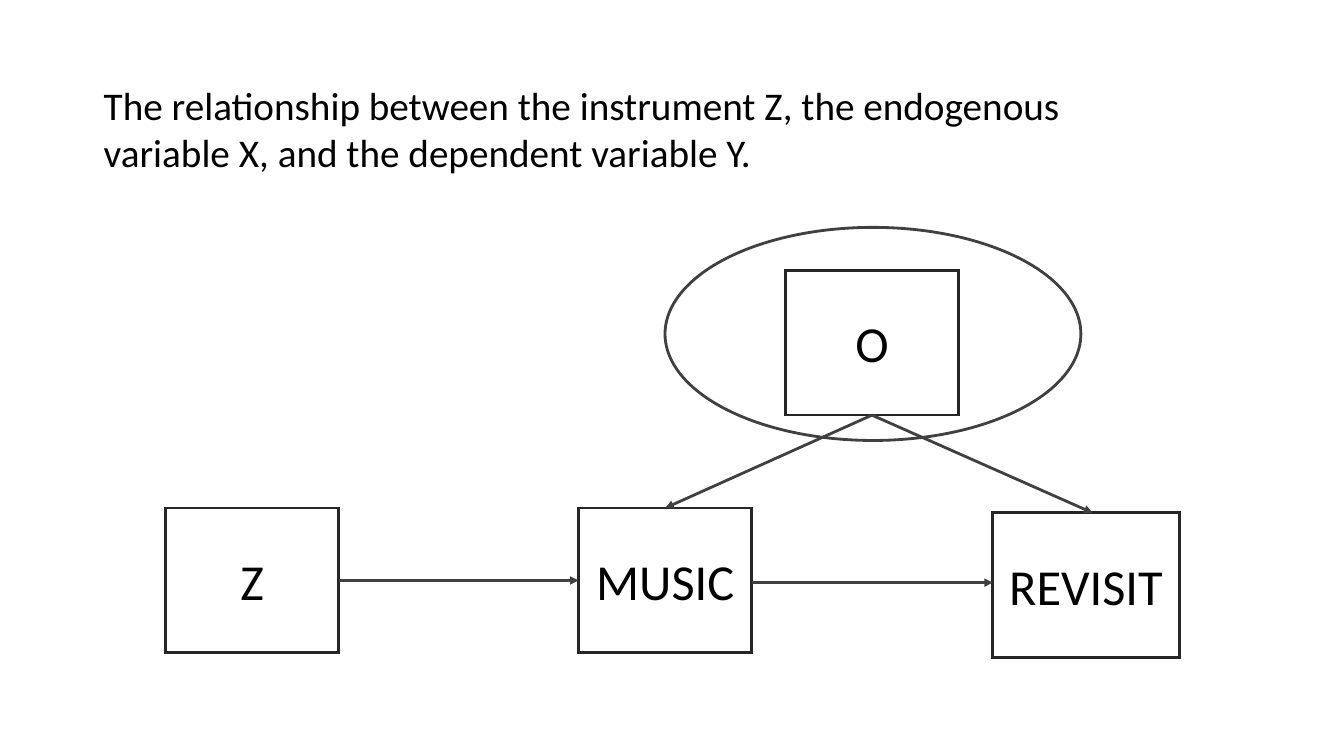
from dataclasses import dataclass

from lxml import etree
from pptx import Presentation
from pptx.dml.color import RGBColor
from pptx.enum.shapes import MSO_CONNECTOR, MSO_SHAPE
from pptx.enum.text import MSO_ANCHOR, MSO_AUTO_SIZE, PP_ALIGN
from pptx.oxml.ns import qn
from pptx.shapes.autoshape import Shape
from pptx.shapes.connector import Connector
from pptx.slide import Slide
from pptx.text.text import TextFrame
from pptx.util import Cm, Pt

RECT = MSO_SHAPE.RECTANGLE
OVAL = MSO_SHAPE.OVAL
STRAIGHT = MSO_CONNECTOR.STRAIGHT
TOP, MIDDLE = MSO_ANCHOR.TOP, MSO_ANCHOR.MIDDLE
LEFT, CENTER = PP_ALIGN.LEFT, PP_ALIGN.CENTER
FIXED = MSO_AUTO_SIZE.NONE
UPPER, NEAR, LOWER, FAR = range(4)


@dataclass(frozen=True)
class Theme:
    font: str = "Calibri"
    ink: RGBColor = RGBColor(0, 0, 0)
    frame: RGBColor = RGBColor(0x26, 0x26, 0x26)
    link: RGBColor = RGBColor(0x40, 0x40, 0x40)
    title: Pt = Pt(28)
    label: Pt = Pt(36)
    stroke: Pt = Pt(2)


@dataclass(frozen=True)
class Node:
    text: str
    left: float
    top: float
    width: float = 4.37
    height: float = 3.65


@dataclass(frozen=True)
class Link:
    start: str
    out: int
    end: str
    into: int


THEME = Theme()
HEADING = (
    "The relationship between the instrument Z, the endogenous "
    "variable X, and the dependent variable Y."
)
NODES = (
    Node("Z", 4.17, 12.8),
    Node("MUSIC", 14.58, 12.8),
    Node("REVISIT", 25.02, 12.92, 4.7),
    Node("O", 19.79, 6.81),
)
LINKS = (
    Link("Z", FAR, "MUSIC", NEAR),
    Link("O", LOWER, "MUSIC", UPPER),
)
RING = Node("", 16.76, 5.73, 10.48, 5.37)
LEVEL = 14.68
TARGET = 27.53


def write(frame: TextFrame, text: str, size: Pt, align: PP_ALIGN) -> None:
    frame.word_wrap = True
    para = frame.paragraphs[0]
    para.text = text
    para.alignment = align
    para.font.name = THEME.font
    para.font.size = size
    para.font.color.rgb = THEME.ink


def add_title(slide: Slide) -> None:
    title = slide.shapes.title
    title.left, title.top = Cm(2.36), Cm(1.93)
    title.width, title.height = Cm(28.83), Cm(5.05)
    frame = title.text_frame
    frame.auto_size = FIXED
    frame.vertical_anchor = TOP
    frame.margin_right = Cm(1.6)
    write(frame, HEADING, THEME.title, LEFT)


def add_node(slide: Slide, node: Node, kind: MSO_SHAPE, color: RGBColor) -> Shape:
    shape = slide.shapes.add_shape(
        kind, Cm(node.left), Cm(node.top), Cm(node.width), Cm(node.height)
    )
    shape.shadow.inherit = False
    shape.fill.background()
    shape.line.color.rgb = color
    shape.line.width = THEME.stroke
    etree.SubElement(shape.line._get_or_add_ln(), qn("a:miter"), lim="800000")
    if node.text:
        shape.text_frame.vertical_anchor = MIDDLE
        write(shape.text_frame, node.text, THEME.label, CENTER)
    return shape


def add_arrow(
    slide: Slide, left: int = 0, top: int = 0, right: int = 0, bottom: int = 0
) -> Connector:
    arrow = slide.shapes.add_connector(STRAIGHT, left, top, right, bottom)
    arrow.line.color.rgb = THEME.link
    arrow.line.width = THEME.stroke
    etree.SubElement(arrow.line._get_or_add_ln(), qn("a:tailEnd"), type="triangle")
    etree.SubElement(arrow._element.spPr, qn("a:effectLst"))
    return arrow


def main() -> None:
    deck = Presentation()
    deck.slide_width, deck.slide_height = Cm(33.87), Cm(19.05)
    slide = deck.slides.add_slide(deck.slide_layouts[5])
    add_title(slide)
    boxes = {node.text: add_node(slide, node, RECT, THEME.frame) for node in NODES}
    for link in LINKS:
        arrow = add_arrow(slide)
        arrow.begin_connect(boxes[link.start], link.out)
        arrow.end_connect(boxes[link.end], link.into)
    music, visit = boxes["MUSIC"], boxes["REVISIT"]
    add_arrow(slide, music.left + music.width, Cm(LEVEL), visit.left, Cm(LEVEL))
    slant = add_arrow(slide, right=Cm(TARGET), bottom=visit.top)
    slant.begin_connect(boxes["O"], LOWER)
    add_node(slide, RING, OVAL, THEME.link)
    deck.save("out.pptx")


if __name__ == "__main__":
    main()
